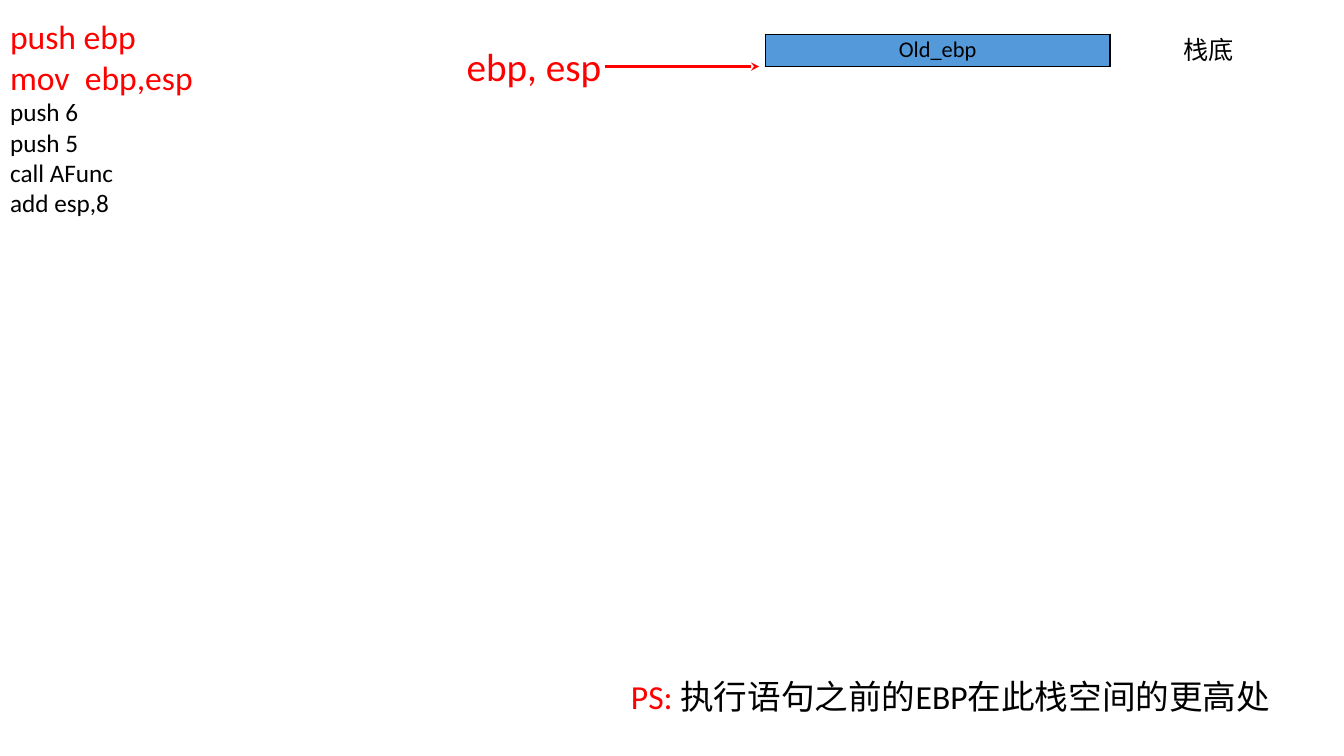
"""Build a slide showing the stack after the frame pointer has been set up."""
import pptx
import pptx.dml.color
import pptx.enum.shapes
import pptx.enum.text
import pptx.oxml
import pptx.oxml.ns
import pptx.util
from dataclasses import dataclass

Inches = pptx.util.Inches


@dataclass(frozen=True)
class Theme:
    font: str = "Calibri"
    ink: str = "000000"
    accent: str = "FF0000"
    cell: str = "5499DA"
    small: int = 16
    normal: int = 18
    large: int = 24
    label: int = 28


theme = Theme()


def add_span(para, text, size, color):
    span = para.add_run()
    span.text = text
    span.font.name = theme.font
    span.font.size = pptx.util.Pt(size)
    span.font.color.rgb = pptx.dml.color.RGBColor.from_string(color)


def add_xml(parent, markup):
    namespace = pptx.oxml.ns.nsdecls("a")
    parent.append(pptx.oxml.parse_xml(markup.replace(" ", f" {namespace} ", 1)))


deck = pptx.Presentation()
deck.slide_width, deck.slide_height = Inches(13.33), Inches(7.5)
page = deck.slides.add_slide(deck.slide_layouts[1])
title = page.shapes.title.element
title.getparent().remove(title)

code = page.placeholders[1]
code.left, code.top, code.width, code.height = Inches(0), Inches(0.11), Inches(5.02), Inches(7.5)
code.text_frame.auto_size = pptx.enum.text.MSO_AUTO_SIZE.NONE
code.text_frame.vertical_anchor = pptx.enum.text.MSO_ANCHOR.TOP
instructions = [
    ("push ebp", theme.large, theme.accent),
    ("mov  ebp,esp", theme.large, theme.accent),
    ("push 6", theme.normal, theme.ink),
    ("push 5", theme.normal, theme.ink),
    ("call AFunc", theme.normal, theme.ink),
    ("add esp,8", theme.normal, theme.ink),
]
for index, (text, size, color) in enumerate(instructions):
    para = code.text_frame.add_paragraph() if index else code.text_frame.paragraphs[0]
    para.space_before = para.space_after = pptx.util.Pt(0)
    para.line_spacing = 1.0
    properties = para._p.get_or_add_pPr()
    properties.set("marL", "0")
    properties.set("indent", "0")
    add_xml(properties, "<a:buNone />")
    add_span(para, text, size, color)

labels = [
    (11.64, 0.29, 0.71, 0.4, [("栈底", theme.normal, theme.ink)]),
    (4.53, 0.37, 1.88, 0.57, [("ebp, esp", theme.label, theme.accent)]),
    (6.16, 6.66, 6.57, 0.5, [
        ("PS: ", theme.large, theme.accent),
        ("执行语句之前的EBP在此栈空间的更高处", theme.large, theme.ink),
    ]),
]
for left, top, width, height, spans in labels:
    box = page.shapes.add_textbox(Inches(left), Inches(top), Inches(width), Inches(height))
    box.text_frame.word_wrap = True
    box.text_frame.auto_size = pptx.enum.text.MSO_AUTO_SIZE.SHAPE_TO_FIT_TEXT
    for text, size, color in spans:
        add_span(box.text_frame.paragraphs[0], text, size, color)

arrow = page.shapes.add_connector(
    pptx.enum.shapes.MSO_CONNECTOR.STRAIGHT,
    Inches(6), Inches(0.66), Inches(7.53), Inches(0.66))
arrow.line.color.rgb = pptx.dml.color.RGBColor.from_string(theme.accent)
arrow.line.width = pptx.util.Pt(2)
add_xml(arrow.line._get_or_add_ln(), '<a:tailEnd type="stealth" w="med" len="med"/>')
add_xml(arrow._element.spPr, "<a:effectLst />")

stack = page.shapes.add_table(
    1, 1, Inches(7.59), Inches(0.34), Inches(3.42), Inches(0.32)).table
stack.first_row = stack.horz_banding = False
cell = stack.cell(0, 0)
cell.margin_left = cell.margin_right = Inches(0.05)
cell.margin_top = cell.margin_bottom = Inches(0.02)
para = cell.text_frame.paragraphs[0]
para.alignment = pptx.enum.text.PP_ALIGN.CENTER
add_span(para, "Old_ebp", theme.small, theme.ink)
for side in ("lnL", "lnR", "lnT", "lnB"):
    add_xml(cell._tc.get_or_add_tcPr(),
            f'<a:{side} w="{pptx.util.Pt(1)}"><a:solidFill>'
            f'<a:srgbClr val="{theme.ink}"/></a:solidFill></a:{side}>')
cell.fill.solid()
cell.fill.fore_color.rgb = pptx.dml.color.RGBColor.from_string(theme.cell)

deck.save("out.pptx")
